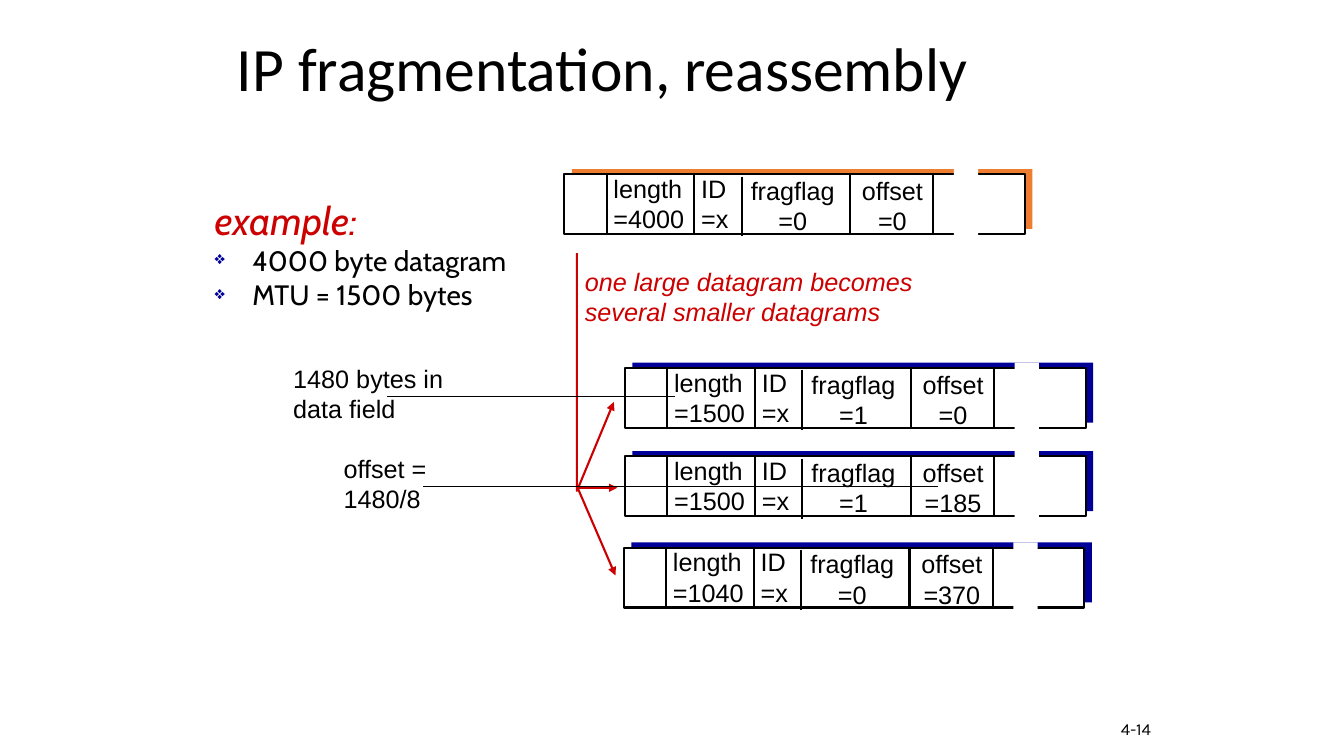
from dataclasses import dataclass

from lxml import etree
from pptx import Presentation
from pptx import util as u
from pptx.dml.color import RGBColor
from pptx.enum import shapes, text
from pptx.oxml import ns

Cm = u.Cm
LEFT, CENTER, RIGHT = text.PP_ALIGN.LEFT, text.PP_ALIGN.CENTER, text.PP_ALIGN.RIGHT


@dataclass(frozen=True)
class Theme:
    ink: str = "000000"
    paper: str = "FFFFFF"
    accent: str = "CC0000"
    whole: str = "ED7D31"
    fragment: str = "000099"
    title_font: str = "Calibri"
    body_font: str = "Cabin"
    label_font: str = "Arial"
    number_font: str = "Karla"
    title: int = 44
    heading: int = 28
    bullet: int = 20
    label: int = 18
    number: int = 12
    heavy: float = 1.5
    thin: float = 0.75


THEME = Theme()


def add_xml(parent, tag, **attributes):
    return etree.SubElement(parent, ns.qn(tag), attributes)


def style_line(line, color, weight):
    line.color.rgb = RGBColor.from_string(color)
    line.width = u.Pt(weight)


def add_arrowhead(stroke):
    add_xml(stroke.element.spPr.find(ns.qn("a:ln")), "a:tailEnd", type="triangle")


def style_paragraph(paragraph, font, size, color, italic=False, align=LEFT):
    paragraph.alignment = align
    for run in paragraph.runs:
        run.font.name = font
        run.font.size = u.Pt(size)
        run.font.italic = italic
        run.font.color.rgb = RGBColor.from_string(color)


def add_text(parent, box, words, font=THEME.label_font, size=THEME.label,
             color=THEME.ink, italic=False, align=LEFT, wrap=False, middle=False):
    frame = parent.add_textbox(*map(Cm, box)).text_frame
    frame.text = words
    frame.word_wrap = wrap
    if not wrap:
        frame.auto_size = text.MSO_AUTO_SIZE.SHAPE_TO_FIT_TEXT
    if middle:
        frame.vertical_anchor = text.MSO_ANCHOR.MIDDLE
    for paragraph in frame.paragraphs:
        style_paragraph(paragraph, font, size, color, italic, align)
    return frame


def add_block(parent, box, fill, outlined=False):
    block = parent.add_shape(shapes.MSO_SHAPE.RECTANGLE, *map(Cm, box))
    block.shadow.inherit = False
    block.fill.solid()
    block.fill.fore_color.rgb = RGBColor.from_string(fill)
    if outlined:
        style_line(block.line, THEME.ink, THEME.heavy)
    else:
        block.line.fill.background()


def add_line(parent, start, end, color=THEME.ink, weight=THEME.heavy):
    line = parent.add_connector(shapes.MSO_CONNECTOR.STRAIGHT, *map(Cm, start + end))
    style_line(line.line, color, weight)
    add_xml(line.element.spPr, "a:effectLst")
    return line


def draw_title(canvas, box):
    frame = add_text(canvas, box, "IP fragmentation, reassembly", THEME.title_font,
                     THEME.title, wrap=True, middle=True)
    frame.paragraphs[0].line_spacing = 0.9


def draw_example(canvas, box):
    frame = add_text(canvas, box, "example:\n4000 byte datagram\nMTU = 1500 bytes",
                     THEME.body_font, THEME.bullet, wrap=True)
    heading, *facts = frame.paragraphs
    style_paragraph(heading, THEME.body_font, THEME.heading, THEME.accent, True)
    for paragraph in frame.paragraphs:
        paragraph.line_spacing = 0.85
        size = THEME.heading if paragraph is heading else THEME.bullet
        paragraph.space_before = u.Pt(size * 0.2)
        properties = paragraph._p.get_or_add_pPr()
        properties.set("marL", str(Cm(0.95)))
        properties.set("indent", str(-Cm(0.95)))
    for fact in facts:
        properties = fact._p.get_or_add_pPr()
        add_xml(add_xml(properties, "a:buClr"), "a:srgbClr", val=THEME.fragment)
        add_xml(properties, "a:buSzPct", val="65000")
        add_xml(properties, "a:buChar", char="❖")


def draw_datagram(canvas, box, shade, length, flag, offset):
    left, top, width, height = box
    group = canvas.add_group_shape().shapes
    add_block(group, (left + 0.19, top - 0.13, width, height), shade)
    add_block(group, box, THEME.paper, outlined=True)
    fields = (
        (f"ID\n=x", 3.2, -0.15, 1.19, LEFT),
        (f"offset\n={offset}", 7.24, -0.1, 2.06, CENTER),
        (f"fragflag\n={flag}", 4.45, -0.1, 2.62, CENTER),
        (f"length\n={length}", 0.99, -0.15, 2.29, LEFT),
    )
    for words, x, y, field_width, align in fields:
        add_text(group, (left + x, top + y, field_width, 1.78), words, align=align)
    for x, y in ((1.07, 0), (3.28, 0), (4.47, 0.06), (7.2, 0), (9.3, 0)):
        add_line(group, (left + x, top + y), (left + x, top + y + height))
    add_block(group, (left + 9.82, top - 0.13, 0.61, 1.68), THEME.paper)


def draw_split(canvas, box):
    left, top, width, height = box
    fork = top + height
    outline = canvas.build_freeform(Cm(left), Cm(top), scale=1)
    outline.add_line_segments(
        [(Cm(left), Cm(fork)), (Cm(left + width), Cm(fork - 2.24))], close=False)
    trunk = outline.convert_to_shape()
    trunk.shadow.inherit = False
    trunk.fill.background()
    style_line(trunk.line, THEME.accent, THEME.heavy)
    add_arrowhead(trunk)
    for start, end in (((left, fork - 0.08), (left + 1.02, fork - 0.08)),
                       ((left + 0.03, fork - 0.05), (left + 0.97, fork + 2.13))):
        add_arrowhead(add_line(canvas, start, end, THEME.accent))
    add_text(canvas, (left - 0.05, top + 0.2, 8.76, 1.78),
             "one large datagram becomes\nseveral smaller datagrams",
             color=THEME.accent, italic=True)


def draw_callout(canvas, box, words, start, end):
    left, top = box[:2]
    add_text(canvas, box, words)
    y = top + 0.95
    add_line(canvas, (left + start, y), (left + end, y), weight=THEME.thin)


def draw_page_number(canvas, box):
    add_text(canvas, box, "4-14", THEME.number_font, THEME.number,
             align=RIGHT, wrap=True, middle=True)


def main():
    deck = Presentation()
    deck.slide_width, deck.slide_height = Cm(33.87), Cm(19.05)
    canvas = deck.slides.add_slide(deck.slide_layouts[6]).shapes

    datagrams = (
        (14.22, 4.39, THEME.whole, 4000, 0, 0),
        (15.75, 9.27, THEME.fragment, 1500, 1, 0),
        (15.75, 11.5, THEME.fragment, 1500, 1, 185),
        (15.72, 13.8, THEME.fragment, 1040, 0, 370),
    )
    for left, top, *header in datagrams:
        draw_datagram(canvas, (left, top, 11.61, 1.51), *header)
    draw_split(canvas, (14.54, 6.38, 0.93, 5.99))
    draw_example(canvas, (5.16, 5, 7.87, 4.67))
    draw_callout(canvas, (7.14, 9.03, 4.47, 1.78), "1480 bytes in \vdata field", 2.62, 9.88)
    draw_callout(canvas, (8.41, 11.3, 2.62, 1.78), "offset =\n1480/8", 2.26, 15.24)
    draw_title(canvas, (5.72, 0.51, 21.59, 2.59))
    draw_page_number(canvas, (27.71, 17.98, 1.55, 0.76))
    deck.save("out.pptx")


if __name__ == "__main__":
    main()
